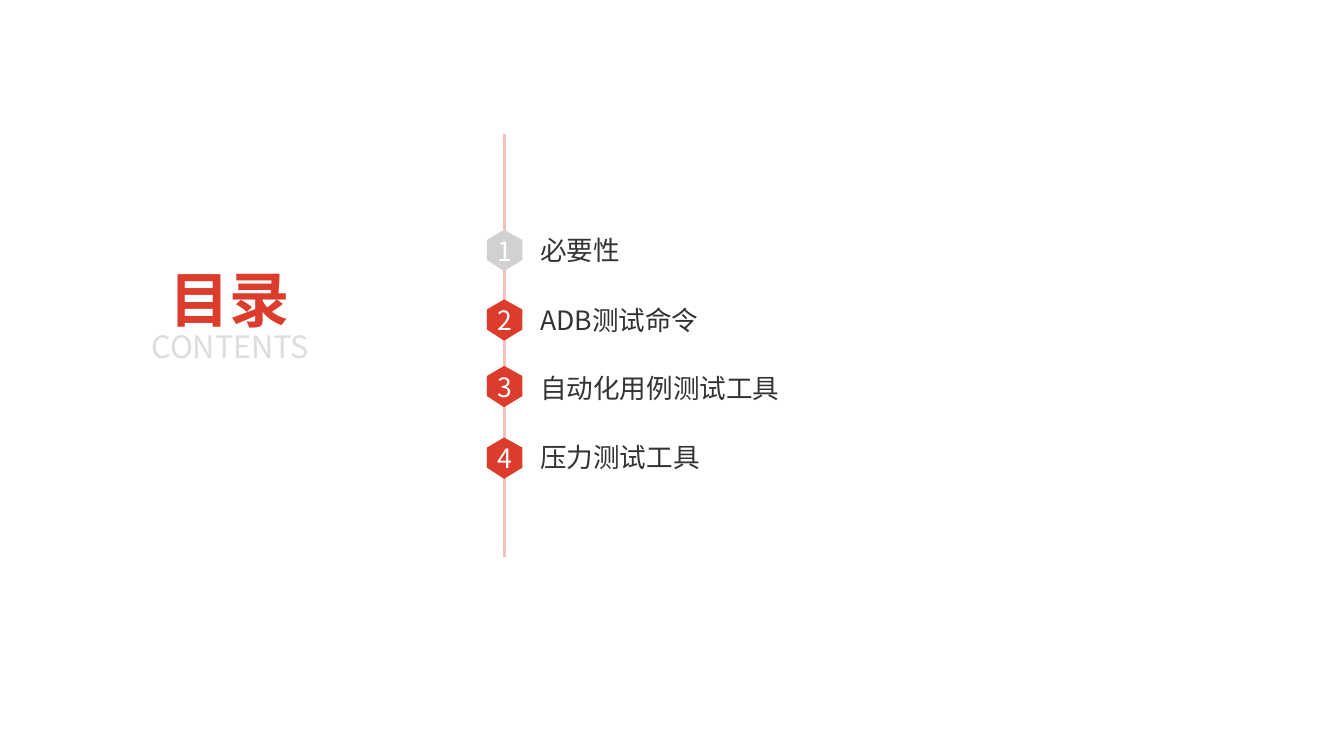
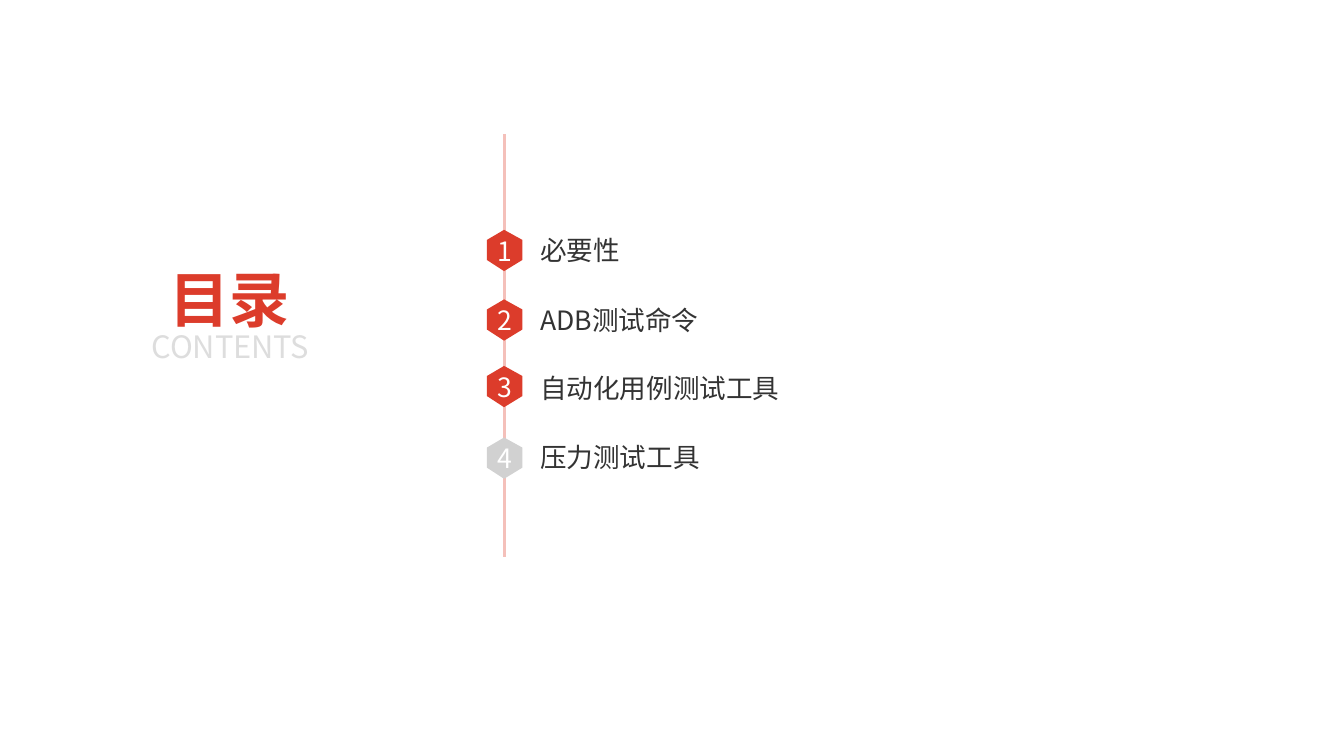
import pptx
import pptx.util
import pptx.dml.color
import pptx.enum.text
import pptx.enum.shapes
import pptx.oxml
import pptx.oxml.ns

PX = 9144  # 100 px to the inch
FACE = "Noto Sans CJK SC"
HUES = {"red": "DC3C2B", "rail": "F4C0BA", "off": "D1D1D1",
        "pale": "DDDDDD", "ink": "333333", "white": "FFFFFF"}
ALIGN = pptx.enum.text.PP_ALIGN
MID = pptx.enum.text.MSO_ANCHOR.MIDDLE
FIT = pptx.enum.text.MSO_AUTO_SIZE.NONE

# topic, top of badge, top of label
ROWS = [("必要性", 228, 225), ("ADB测试命令", 297, 294),
        ("自动化用例测试工具", 363, 362), ("压力测试工具", 434, 430)]
HEX = [(500, 0), (518, 10), (518, 30), (500, 41), (483, 30), (483, 10)]


def tint(hue):
    return pptx.dml.color.RGBColor.from_string(HUES[hue])


def write(shape, text, size, hue, align=ALIGN.CENTER, pad=5, bold=False):
    """Put one formatted line of text into a shape."""
    frame = shape.text_frame
    form = {"word_wrap": True, "auto_size": FIT, "vertical_anchor": MID}
    for side in ("left", "top", "right", "bottom"):
        form["margin_" + side] = pad * PX
    for name, value in form.items():
        setattr(frame, name, value)
    para = frame.paragraphs[0]
    para.alignment = align
    run = para.add_run()
    run.text = text
    looks = {"name": FACE, "size": pptx.util.Pt(size), "bold": bold}
    for name, value in looks.items():
        setattr(run.font, name, value)
    run.font.color.rgb = tint(hue)
    # East Asian glyphs take their face from a:ea
    east = pptx.oxml.parse_xml(
        f'<a:ea {pptx.oxml.ns.nsdecls("a")} typeface="{FACE}"/>')
    run.font._element.append(east)


deck = pptx.Presentation()
deck.slide_width = 1333 * PX
deck.slide_height = 750 * PX

for muted in (1, 4):
    slide = deck.slides.add_slide(deck.slide_layouts[5])
    shapes = slide.shapes

    title = shapes.title
    place = {"left": 162, "top": 249, "width": 131, "height": 95}
    for name, value in place.items():
        setattr(title, name, value * PX)
    write(title, "目录", 43, "red", bold=True)
    under = shapes.add_textbox(125 * PX, 320 * PX, 207 * PX, 46 * PX)
    write(under, "CONTENTS", 22, "pale")

    rail = shapes.add_connector(pptx.enum.shapes.MSO_CONNECTOR.STRAIGHT,
                                500 * PX, 133 * PX, 500 * PX, 553 * PX)
    rail.line.color.rgb = tint("rail")
    rail.line.width = pptx.util.Pt(2)
    rail._element.spPr.append(pptx.oxml.parse_xml(
        f'<a:effectLst {pptx.oxml.ns.nsdecls("a")}/>'))

    for number, (topic, top, high) in enumerate(ROWS, 1):
        points = [(x, top + y) for x, y in HEX]
        pen = shapes.build_freeform(*points[0], scale=PX)
        pen.add_line_segments(points[1:], close=True)
        badge = pen.convert_to_shape()
        badge.shadow.inherit = False
        badge.fill.solid()
        badge.fill.fore_color.rgb = tint("off" if number == muted else "red")
        badge.line.fill.background()
        write(badge, str(number), 19, "white", pad=0)

        label = shapes.add_textbox(531 * PX, high * PX, 404 * PX, 46 * PX)
        write(label, topic, 19, "ink", ALIGN.LEFT)

deck.save("out.pptx")
